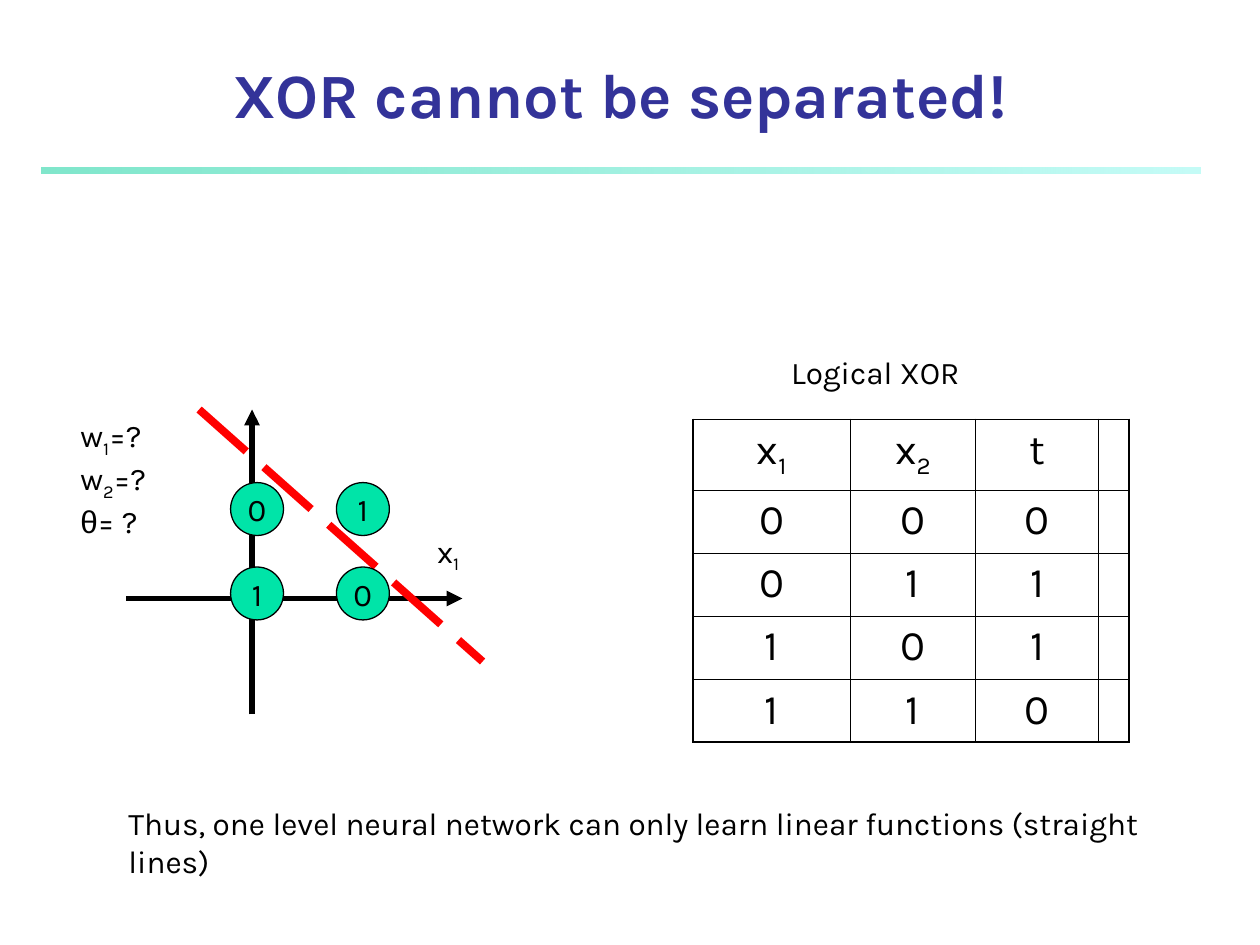
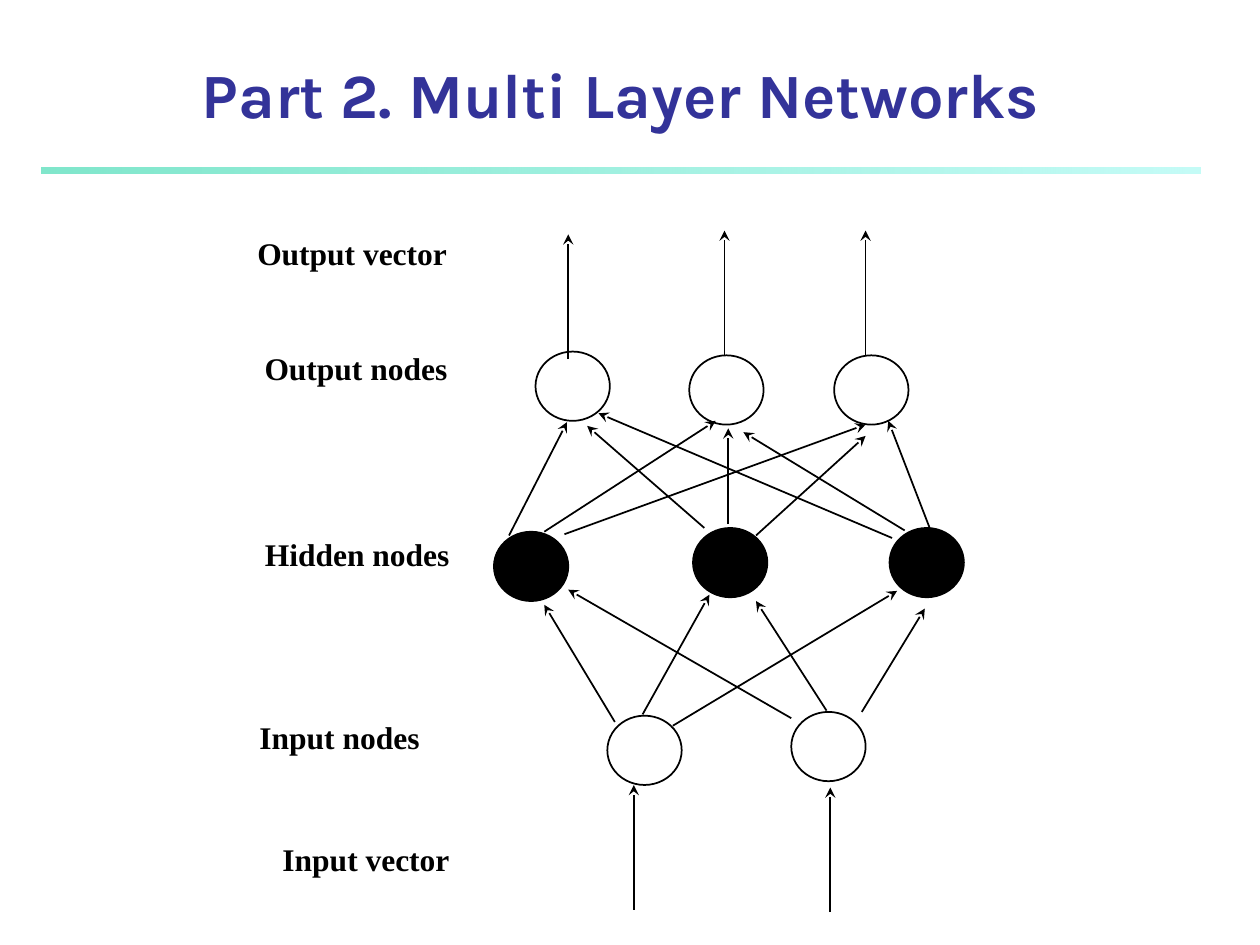
from dataclasses import dataclass

from lxml.etree import SubElement
from pptx import Presentation
from pptx.dml.color import RGBColor
from pptx.enum.dml import MSO_LINE
from pptx.enum.shapes import MSO_CONNECTOR, MSO_SHAPE
from pptx.enum.text import MSO_ANCHOR, PP_ALIGN
from pptx.oxml.ns import qn
from pptx.util import Inches, Pt


@dataclass(frozen=True)
class Theme:
    title: RGBColor = RGBColor(0x33, 0x33, 0x99)
    ink: RGBColor = RGBColor(0, 0, 0)
    point: RGBColor = RGBColor(0x00, 0xE4, 0xA8)
    separator: RGBColor = RGBColor(0xFF, 0, 0)
    band_light: RGBColor = RGBColor(0x8F, 0xF9, 0xEF)
    band_dark: RGBColor = RGBColor(0x00, 0xCE, 0x98)
    sans: str = "Karla"
    serif: str = "Times New Roman"
    greek: str = "Arial"
    title_size: Pt = Pt(36)
    table_size: Pt = Pt(24)
    body_size: Pt = Pt(18)


THEME = Theme()
TITLE_BOX = (0.33, 0.42, 9.19, 0.67)
BAND_BOX = (0.33, 1.33, 9.2, 0.05)


def inches(*lengths):
    return [Inches(length) for length in lengths]


def sub(text):
    return text, "sub"


def greek(text):
    return text, "greek"


def write(paragraph, parts, size=THEME.body_size, name=THEME.sans, bold=False,
          color=THEME.ink, align=PP_ALIGN.LEFT):
    """Fill a paragraph from plain strings and sub() or greek() parts."""
    paragraph.alignment = align
    font = paragraph.font
    font.size, font.name, font.bold, font.color.rgb = size, name, bold, color
    for part in parts:
        text, style = part if isinstance(part, tuple) else (part, None)
        run = paragraph.add_run()
        run.text = text
        if style == "sub":
            run._r.get_or_add_rPr().set("baseline", "-25000")
        elif style == "greek":
            run.font.name = THEME.greek


def add_text(slide, box, lines, wrap=False, **style):
    frame = slide.shapes.add_textbox(*inches(*box)).text_frame
    frame.word_wrap = wrap
    for index, parts in enumerate(lines):
        paragraph = frame.add_paragraph() if index else frame.paragraphs[0]
        write(paragraph, parts, **style)


def add_line(slide, start, end, width, color=THEME.ink, arrow=None, dash=None):
    line = slide.shapes.add_connector(MSO_CONNECTOR.STRAIGHT, *inches(*start, *end))
    line.line.color.rgb = color
    line.line.width = Pt(width)
    if dash:
        line.line.dash_style = dash
    if arrow:
        SubElement(line.line._get_or_add_ln(), qn("a:tailEnd"), type=arrow)
    SubElement(line.element.spPr, qn("a:effectLst"))


def add_circle(slide, box, line_width, fill=None):
    circle = slide.shapes.add_shape(MSO_SHAPE.OVAL, *inches(*box))
    circle.shadow.inherit = False
    if fill is None:
        circle.fill.background()
    else:
        circle.fill.solid()
        circle.fill.fore_color.rgb = fill
    circle.line.color.rgb = THEME.ink
    circle.line.width = Pt(line_width)
    return circle


def add_band(slide):
    """Draw the gradient band and move it to the layout the slides share."""
    band = slide.shapes.add_shape(MSO_SHAPE.RECTANGLE, *inches(*BAND_BOX))
    band.shadow.inherit = False
    band.line.fill.background()
    band.fill.gradient()
    band.fill.gradient_angle = 180
    colors = (THEME.band_light, THEME.band_dark)
    for stop, color in zip(band.fill.gradient_stops, colors):
        stop.color.rgb = color
    for color, alpha in zip(band.element.spPr.iter(qn("a:srgbClr")), (52, 50)):
        SubElement(color, qn("a:alpha"), val=str(alpha * 1000))
    slide.slide_layout.shapes.element.append(band.element)


def add_titled_slide(deck, text):
    slide = deck.slides.add_slide(deck.slide_layouts[5])
    title = slide.shapes.title
    title.left, title.top, title.width, title.height = inches(*TITLE_BOX)
    title.text_frame.vertical_anchor = MSO_ANCHOR.BOTTOM
    write(title.text_frame.paragraphs[0], [text], size=THEME.title_size,
          bold=True, color=THEME.title, align=PP_ALIGN.CENTER)
    return slide


def add_xor_plot(slide, left, top):
    def at(x, y):
        return left + x, top + y

    add_line(slide, at(1, 2.42), at(1, 0), 3, arrow="triangle")
    add_line(slide, at(0, 1.5), at(2.67, 1.5), 3, arrow="triangle")
    add_text(slide, (*at(2.37, 0.92), 0.41, 0.44), [["x", sub("1")]])
    add_line(slide, at(0.58, 0), at(2.83, 2), 4.5, THEME.separator,
             dash=MSO_LINE.LONG_DASH)
    for x1 in (0, 1):
        for x2 in (0, 1):
            box = (*at(0.83 + 0.84 * x1, 1.25 - 0.67 * x2), 0.42, 0.42)
            frame = add_circle(slide, box, 0.75, THEME.point).text_frame
            frame.word_wrap = False
            frame.vertical_anchor = MSO_ANCHOR.MIDDLE
            write(frame.paragraphs[0], [str(int(x1 == x2))], align=PP_ALIGN.CENTER)
    add_text(slide, (*at(-0.46, 0), 0.73, 1.08),
             [["w", sub("1"), "=?"], ["w", sub("2"), "=?"], [greek("θ"), "= ?"]])


def set_border(cell, side, width):
    line = SubElement(cell._tc.get_or_add_tcPr(), qn(f"a:ln{side}"), w=str(Pt(width)))
    fill = SubElement(line, qn("a:solidFill"))
    SubElement(fill, qn("a:srgbClr"), val=str(THEME.ink))


def add_truth_table(slide, left, top):
    add_text(slide, (left + 0.68, top - 0.58, 1.59, 0.4), [["Logical XOR"]])
    header = [["x", sub("1")], ["x", sub("2")], ["t"], []]
    cases = [[[str(x1)], [str(x2)], [str(x1 ^ x2)], []]
             for x1 in (0, 1) for x2 in (0, 1)]
    rows = [header, *cases]
    widths = (1.25, 0.99, 0.98, 0.24)
    heights = (0.56, 0.5, 0.5, 0.5, 0.5)
    table = slide.shapes.add_table(
        len(rows), len(widths), *inches(left, top, sum(widths), sum(heights))).table
    table.first_row = table.horz_banding = False
    for column, width in zip(table.columns, widths):
        column.width = Inches(width)
    for row, height in zip(table.rows, heights):
        row.height = Inches(height)
    for r, row in enumerate(rows):
        for c, parts in enumerate(row):
            cell = table.cell(r, c)
            outer_sides = {"L": c == 0, "R": c == len(widths) - 1,
                           "T": r == 0, "B": r == len(rows) - 1}
            for side, outer in outer_sides.items():
                set_border(cell, side, 1.08 if outer else 0.45)
            cell.fill.background()
            write(cell.text_frame.paragraphs[0], parts, size=THEME.table_size,
                  align=PP_ALIGN.CENTER)


def add_network(slide, left, top):
    output_nodes = [(0.35, 0.99), (1.57, 1.02), (2.72, 1.02)]
    hidden_nodes = [(0.02, 2.42), (1.6, 2.39), (3.16, 2.39)]
    input_nodes = [(0.92, 3.88), (2.38, 3.85)]
    for nodes, fill in ((output_nodes, None), (hidden_nodes, THEME.ink),
                        (input_nodes, None)):
        for x, y in nodes:
            add_circle(slide, (left + x, top + y, 0.59, 0.55), 1, fill)

    input_to_hidden = [
        (0.98, 3.93, 0.42, 3), (1.2, 3.87, 1.73, 2.92), (1.44, 3.96, 3.22, 2.89),
        (2.38, 3.9, 0.61, 2.88), (2.66, 3.84, 2.1, 2.97), (2.94, 3.85, 3.44, 3.03)]
    hidden_to_output = [
        (0.14, 2.45, 0.6, 1.55), (0.42, 2.42, 1.78, 1.54), (0.58, 2.44, 2.97, 1.57),
        (1.69, 2.39, 0.76, 1.58), (1.88, 2.36, 1.88, 1.6), (2.1, 2.45, 2.97, 1.66),
        (3.18, 2.47, 0.85, 1.48), (3.28, 2.41, 2, 1.63), (3.49, 2.42, 3.15, 1.54)]
    vector_bases = [(1.13, 5.42), (2.69, 5.44), (0.61, 1.05), (1.85, 1.02), (2.97, 1.02)]
    vectors = [(x, y, x, y - 0.99) for x, y in vector_bases]
    for x1, y1, x2, y2 in input_to_hidden + hidden_to_output + vectors:
        add_line(slide, (left + x1, top + y1), (left + x2, top + y2), 1,
                 arrow="stealth")


def add_layer_labels(slide, left, top):
    labels = [("Output vector", 0, 0, 1.71), ("Output nodes", 0.06, 0.91, 1.65),
              ("Hidden nodes", 0.06, 2.39, 1.67), ("Input nodes", 0.02, 3.84, 1.47),
              ("Input vector", 0.2, 4.81, 1.53)]
    for label, x, y, width in labels:
        add_text(slide, (left + x, top + y, width, 0.4), [[label]],
                 name=THEME.serif, bold=True, align=PP_ALIGN.CENTER)


def main():
    deck = Presentation()
    deck.slide_width, deck.slide_height = inches(10, 7.5)

    xor = add_titled_slide(deck, "XOR cannot be separated!")
    add_band(xor)
    add_xor_plot(xor, 1, 3.25)
    add_truth_table(xor, 5.5, 3.33)
    add_text(xor, (0.92, 6.33, 8.75, 0.7),
             [["Thus, one level neural network can only learn linear functions "
               "(straight lines)"]], wrap=True)

    multi_layer = add_titled_slide(deck, "Part 2. Multi Layer Networks")
    add_network(multi_layer, 3.9, 1.8)
    add_layer_labels(multi_layer, 1.94, 1.81)
    deck.save("out.pptx")


if __name__ == "__main__":
    main()
